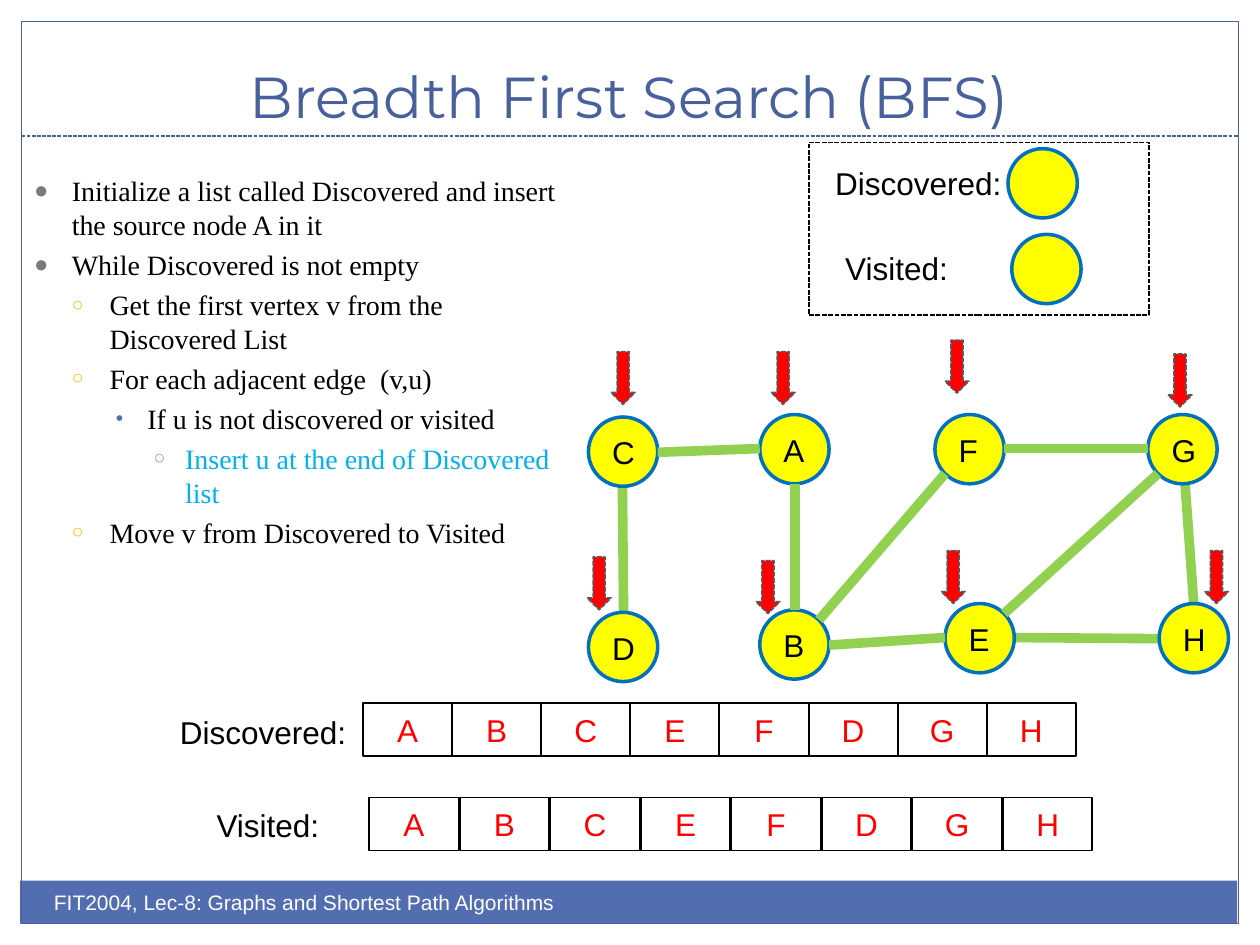
"""Build the Breadth First Search slide with its graph, steps and lists."""
import pptx
import pptx.util
import pptx.dml.color
import pptx.enum.dml
import pptx.enum.shapes
import pptx.enum.text
import lxml.etree

Inches = pptx.util.Inches
Pt = pptx.util.Pt
Shape = pptx.enum.shapes.MSO_SHAPE
Align = pptx.enum.text.PP_ALIGN
Anchor = pptx.enum.text.MSO_ANCHOR
AutoSize = pptx.enum.text.MSO_AUTO_SIZE
SQUARE_DOT = pptx.enum.dml.MSO_LINE.SQUARE_DOT

COLORS = {
    name: pptx.dml.color.RGBColor.from_string(value)
    for name, value in {
        "band": "526DB0", "frame": "48609B", "edge": "92D050", "node": "FFFF00",
        "ring": "0070C0", "red": "FF0000", "black": "000000", "white": "FFFFFF",
        "arrow line": "5A5A5A", "highlight": "00B0F0",
    }.items()
}

deck = pptx.Presentation()
deck.slide_width, deck.slide_height = Inches(10), Inches(7.5)
page = deck.slides.add_slide(deck.slide_layouts[1])
shapes = page.shapes


def add_shape(kind, place, fill=None, line=None, weight=1, dashed=False):
    shape = shapes.add_shape(kind, *[Inches(length) for length in place])
    shape.shadow.inherit = False
    if fill:
        shape.fill.solid()
        shape.fill.fore_color.rgb = COLORS[fill]
    else:
        shape.fill.background()
    if line:
        shape.line.color.rgb = COLORS[line]
        shape.line.width = Pt(weight)
        if dashed:
            shape.line.dash_style = SQUARE_DOT
    else:
        shape.line.fill.background()
    return shape


def add_label(words, left, top, width, size=18, color="black"):
    box = shapes.add_textbox(Inches(left), Inches(top), Inches(width), Inches(0.4))
    box.text_frame.word_wrap = False
    box.text_frame.auto_size = AutoSize.SHAPE_TO_FIT_TEXT
    para = box.text_frame.paragraphs[0]
    para.text = words
    para.font.name, para.font.size = "Arial", Pt(size)
    para.font.color.rgb = COLORS[color]


add_shape(Shape.RECTANGLE, (0.16, 6.99, 9.66, 0.34), "band")
add_shape(Shape.RECTANGLE, (0.17, 0.17, 9.66, 7.16), None, "frame", 0.75)
add_label("FIT2004, Lec-8: Graphs and Shortest Path Algorithms", 0.33, 7.01, 4.2, 12, "white")

title = shapes.title
title.left, title.top, title.width, title.height = map(Inches, (0.33, 0.25, 9.33, 0.83))
title.text_frame.vertical_anchor = Anchor.BOTTOM
title.text_frame.auto_size = AutoSize.NONE
title.text = "Breadth First Search (BFS)"
heading = title.text_frame.paragraphs[0]
heading.alignment = Align.CENTER
heading.font.name, heading.font.size = "Montserrat", Pt(33)
heading.font.color.rgb = COLORS["frame"]

bullets = [
    ("●", "7A7A7A", 85, 0.3),
    ("○", "F5C201", 70, 0.3),
    ("•", "526DB0", 75, 0.25),
    ("○", "989AAC", 70, 0.25),
]
steps = [
    (0, "Initialize a list called Discovered and insert the source node A in it"),
    (0, "While Discovered is not empty"),
    (1, "Get the first vertex v from the Discovered List"),
    (1, "For each adjacent edge  (v,u)"),
    (2, "If u is not discovered or visited"),
    (3, "Insert u at the end of Discovered list"),
    (1, "Move v from Discovered to Visited"),
]
body = page.placeholders[1]
body.left, body.top, body.width, body.height = map(Inches, (0.17, 1.33, 4.42, 3.92))
body.text_frame.auto_size = AutoSize.NONE
for index, (level, words) in enumerate(steps):
    para = body.text_frame.paragraphs[0] if index == 0 else body.text_frame.add_paragraph()
    para.text, para.level = words, level
    para.space_before = Pt(3.7)
    para.font.name, para.font.size = "Times New Roman", Pt(16)
    para.font.color.rgb = COLORS["highlight" if level == 3 else "black"]
    mark, mark_color, mark_size, hanging = bullets[level]
    properties = para._p.get_or_add_pPr()
    properties.set("marL", str(Inches(0.3 * (level + 1))))
    properties.set("indent", str(-Inches(hanging)))
    namespace = properties.nsmap["a"]
    bullet_color = lxml.etree.SubElement(properties, f"{{{namespace}}}buClr")
    lxml.etree.SubElement(bullet_color, f"{{{namespace}}}srgbClr", val=mark_color)
    lxml.etree.SubElement(properties, f"{{{namespace}}}buSzPct", val=str(mark_size * 1000))
    lxml.etree.SubElement(properties, f"{{{namespace}}}buFont", typeface="Arial")
    lxml.etree.SubElement(properties, f"{{{namespace}}}buChar", char=mark)

nodes = {
    "A": (6.03, 3.29), "B": (6.03, 4.84), "C": (4.67, 3.31), "D": (4.67, 4.86),
    "E": (7.5, 4.79), "F": (7.42, 3.29), "G": (9.11, 3.29), "H": (9.2, 4.79),
}
for name, (left, top) in nodes.items():
    add_shape(Shape.OVAL, (left, top, 0.55, 0.55), "node", "ring", 2)
    add_label(name, left + 0.09, top + 0.08, 0.37)

lines = [
    ((0.17, 1.08), (9.83, 1.08), "divider"),
    ((4.94, 3.86), (4.95, 4.94), "behind"),
    ((9.48, 4.87), (9.4, 3.77), "behind"),
    ((9.29, 5.07), (8.05, 5.06), "behind"),
    ((6.31, 3.84), (6.31, 4.84), "front"),
    ((7.5, 5.06), (6.58, 5.12), "front"),
    ((6.5, 4.92), (7.5, 3.76), "front"),
    ((7.97, 4.87), (9.19, 3.76), "front"),
    ((7.97, 3.56), (9.11, 3.56), "front"),
    ((5.22, 3.59), (6.03, 3.56), "front"),
]
for start, end, role in lines:
    connector = shapes.add_connector(
        pptx.enum.shapes.MSO_CONNECTOR.STRAIGHT, *[Inches(length) for length in start + end]
    )
    connector.line.color.rgb = COLORS["frame" if role == "divider" else "edge"]
    connector.line.width = Pt(0.75 if role == "divider" else 5.5)
    if role == "divider":
        connector.line.dash_style = SQUARE_DOT
    outline = connector._element.spPr
    lxml.etree.SubElement(outline, f"{{{outline.nsmap['a']}}}effectLst")
    if role == "behind":
        shapes._spTree.insert(2, connector._element)

arrows = [
    (4.85, 2.79), (6.12, 2.79), (7.5, 2.7), (9.27, 2.81),
    (4.66, 4.42), (6, 4.45), (7.47, 4.37), (9.56, 4.37),
]
for left, top in arrows:
    add_shape(Shape.DOWN_ARROW, (left, top, 0.19, 0.42), "red", "arrow line", 0.9, True)

rows = [
    ("Discovered:", 1.33, 5.61, 1.53, 2.88, 7.83, 5.58),
    ("Visited:", 1.62, 6.35, 1.02, 2.93, 7.96, 6.33),
]
for label, left, top, width, first, last, cell_top in rows:
    add_label(label, left, top, width)
    for index, name in enumerate("ABCEFDGH"):
        cell_left = first + index * (last - first) / 7
        cell = add_shape(Shape.RECTANGLE, (cell_left, cell_top, 0.71, 0.42), None, "black")
        cell.text_frame.vertical_anchor = Anchor.MIDDLE
        para = cell.text_frame.paragraphs[0]
        para.text, para.alignment = name, Align.CENTER
        para.font.name, para.font.size = "Arial", Pt(18)
        para.font.color.rgb = COLORS["red"]

legend = [
    ("Discovered:", 6.53, 1.25, 1.53, 8, 1.18),
    ("Visited:", 6.61, 1.93, 1.02, 8.03, 1.86),
]
for label, left, top, width, circle_left, circle_top in legend:
    add_shape(Shape.OVAL, (circle_left, circle_top, 0.55, 0.55), "node", "ring", 2)
    add_label(label, left, top, width)
add_shape(Shape.RECTANGLE, (6.42, 1.13, 2.7, 1.37), None, "black", 0.9, True)

deck.save("out.pptx")
